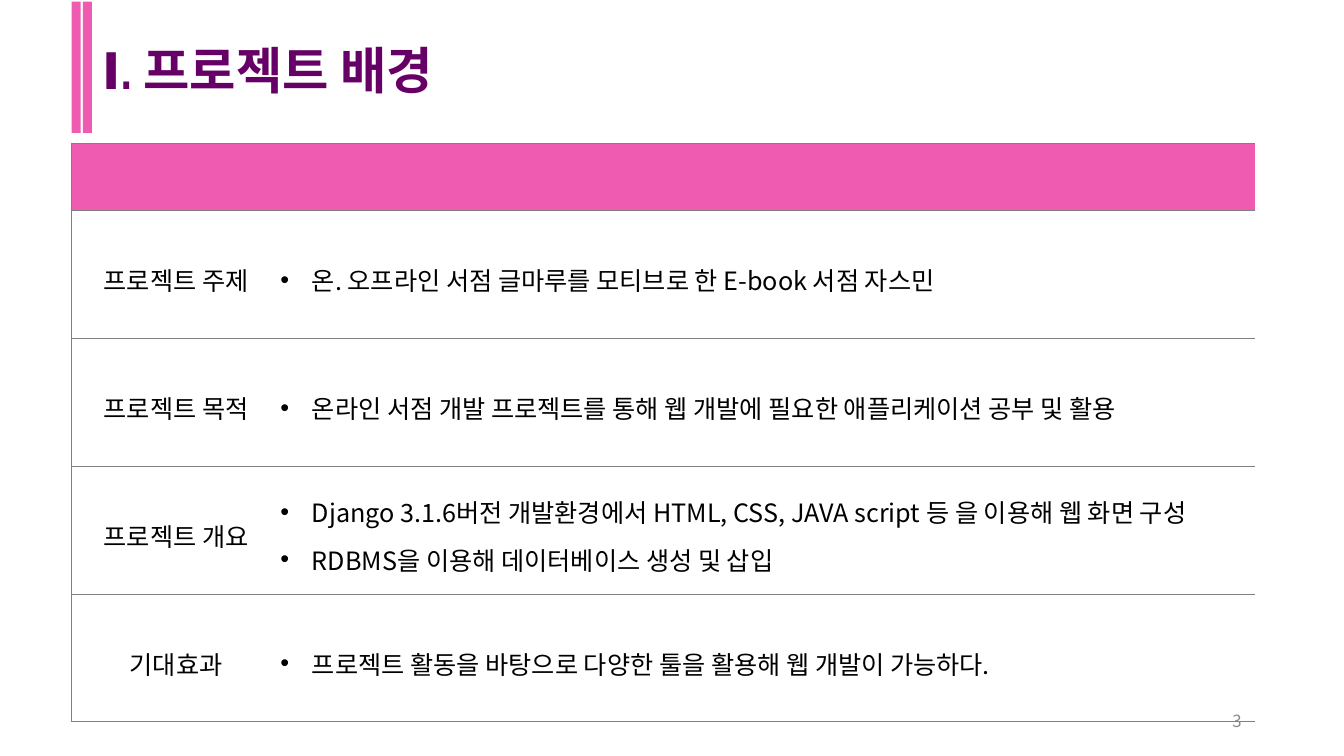
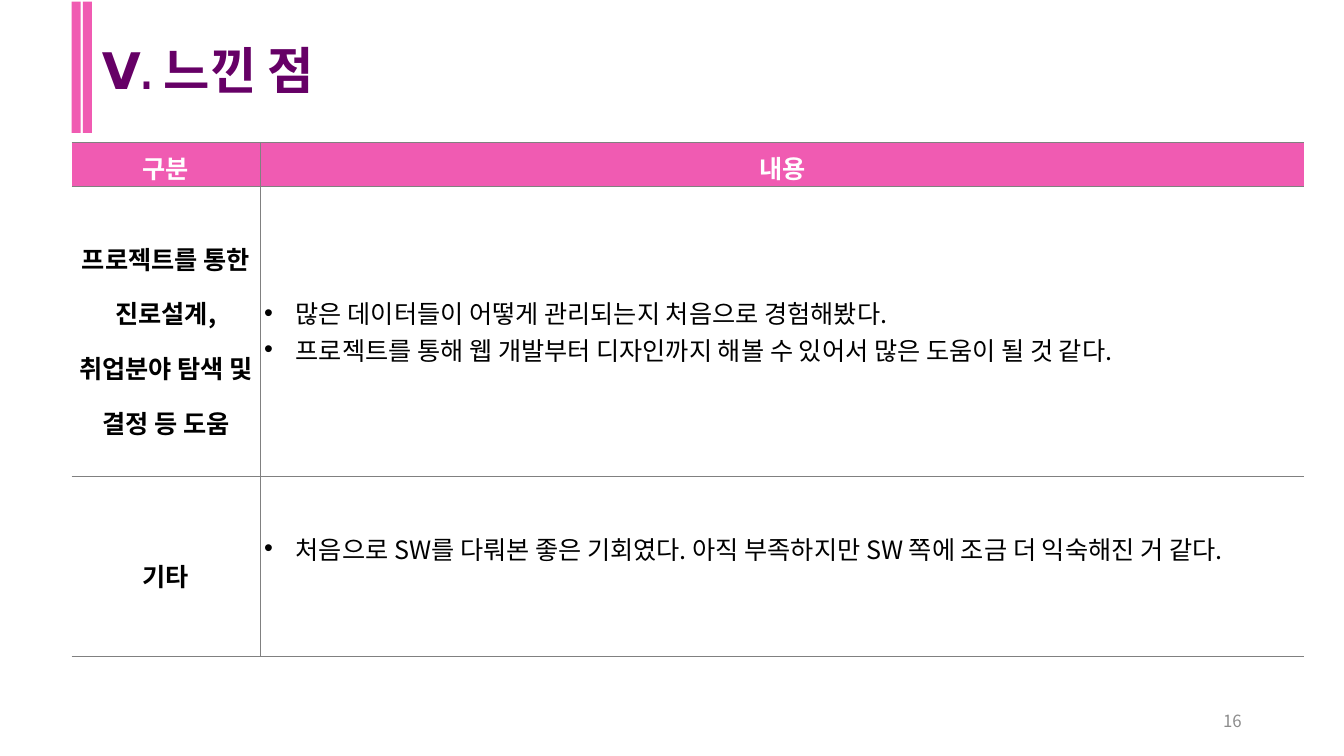
from lxml.etree import SubElement
from pptx import Presentation
from pptx.dml.color import RGBColor
from pptx.enum.shapes import MSO_SHAPE
from pptx.enum.text import MSO_ANCHOR, MSO_AUTO_SIZE, PP_ALIGN
from pptx.oxml import parse_xml
from pptx.oxml.ns import nsdecls, qn
from pptx.util import Pt

PINK, PURPLE, RULE = "F05BB2", "660066", "808080"
BLACK, WHITE, GRAY = "000000", "FFFFFF", "8C8C8C"
BODY_FONT, TITLE_FONT = "Noto Sans CJK KR", "Arial Narrow"
LEFT = 51.2
BULLET_INDENT = 22.5


def color(hex_code):
    return RGBColor.from_string(hex_code)


def write(frame, lines, paragraph_format, font_format, ink, bullet=False):
    for number, line in enumerate(lines):
        paragraph = frame.paragraphs[0] if number == 0 else frame.add_paragraph()
        for key, value in paragraph_format.items():
            setattr(paragraph, key, value)
        if bullet:
            properties = paragraph._p.get_or_add_pPr()
            properties.set("marL", str(Pt(BULLET_INDENT)))
            properties.set("indent", str(-Pt(BULLET_INDENT)))
            SubElement(properties, qn("a:buFont"), typeface="Arial")
            SubElement(properties, qn("a:buChar"), char="•")
        run = paragraph.add_run()
        run.text = line
        for key, value in font_format.items():
            setattr(run.font, key, value)
        run.font.color.rgb = color(ink)
        SubElement(run._r.get_or_add_rPr(), qn("a:ea"), typeface=BODY_FONT)


# Text formats
TITLE_TEXT = {"name": TITLE_FONT, "size": Pt(36), "bold": True}
BODY_TEXT = {"name": BODY_FONT, "size": Pt(18), "bold": False}
STRONG_TEXT = {**BODY_TEXT, "bold": True}
NUMBER_TEXT = {**BODY_TEXT, "size": Pt(12)}
TITLE_FRAME = {"word_wrap": True, "auto_size": MSO_AUTO_SIZE.NONE,
               "vertical_anchor": MSO_ANCHOR.TOP}
TITLE_PLACE = {"left": Pt(65.5), "top": Pt(24.5), "width": Pt(535.7), "height": Pt(51.1)}

# Contents: a row is its label lines and its bullet lines
sections = [
    {
        "title": "Ⅰ. 프로젝트 배경", "number": "3", "top": 102.2,
        "widths": [146.2, 699.1], "heights": [48.2] + [91.3] * 4,
        "header": None,
        "rows": [
            (["프로젝트 주제"], ["온. 오프라인 서점 글마루를 모티브로 한 E-book 서점 자스민"]),
            (["프로젝트 목적"],
             ["온라인 서점 개발 프로젝트를 통해 웹 개발에 필요한 애플리케이션 공부 및 활용"]),
            (["프로젝트 개요"],
             ["Django 3.1.6버전 개발환경에서 HTML, CSS, JAVA script 등 을 이용해 웹 화면 구성",
              "RDBMS을 이용해 데이터베이스 생성 및 삽입"]),
            (["기대효과"], ["프로젝트 활동을 바탕으로 다양한 툴을 활용해 웹 개발이 가능하다."]),
        ],
        "label_text": BODY_TEXT, "label_spacing": 1.3, "bullet_spacing": 1.3,
        "label_margin": 2.9, "last_margin": 0,
        "vertical_rules": [{"L"}, set()],
    },
    {
        "title": "Ⅴ. 느낀 점", "number": "16", "top": 101.5,
        "widths": [134.6, 745.9], "heights": [29.5, 207.4, 128.5],
        "header": ["구분", "내용"],
        "rows": [
            (["프로젝트를 통한 진로설계,", "취업분야 탐색 및 결정 등 도움"],
             ["많은 데이터들이 어떻게 관리되는지 처음으로 경험해봤다.",
              "프로젝트를 통해 웹 개발부터 디자인까지 해볼 수 있어서 많은 도움이 될 것 같다."]),
            (["기타"],
             ["처음으로 SW를 다뤄본 좋은 기회였다. 아직 부족하지만 SW 쪽에 조금 더 익숙해진 거 같다."]),
        ],
        "label_text": STRONG_TEXT, "label_spacing": 1.5, "bullet_spacing": 1.0,
        "label_margin": 0, "last_margin": 26,
        "vertical_rules": [{"R"}, {"L"}],
    },
]

deck = Presentation()
deck.slide_width, deck.slide_height = Pt(960), Pt(540)

for section in sections:
    slide = deck.slides.add_slide(deck.slide_layouts[5])

    # Title with its double bar
    title = slide.shapes.title
    for key, value in TITLE_PLACE.items():
        setattr(title, key, value)
    for key, value in TITLE_FRAME.items():
        setattr(title.text_frame, key, value)
    write(title.text_frame, [section["title"]], {"alignment": PP_ALIGN.LEFT},
          TITLE_TEXT, PURPLE)
    for bar_left in (LEFT, LEFT + 8):
        bar = slide.shapes.add_shape(MSO_SHAPE.RECTANGLE, Pt(bar_left), Pt(1.2),
                                     Pt(6.5), Pt(93.8))
        bar.shadow.inherit = False
        bar.fill.solid()
        bar.fill.fore_color.rgb = color(PINK)
        bar.line.fill.background()

    # Table grid
    widths, heights = section["widths"], section["heights"]
    grid = slide.shapes.add_table(len(heights), len(widths), Pt(LEFT), Pt(section["top"]),
                                  Pt(sum(widths)), Pt(sum(heights))).table
    grid.first_row = grid.horz_banding = False
    for column, width in zip(grid.columns, widths):
        column.width = Pt(width)
    for row, height in zip(grid.rows, heights):
        row.height = Pt(height)

    # Cell fills, margins and rules
    for row_index, row in enumerate(grid.rows):
        for column_index, cell in enumerate(row.cells):
            cell.vertical_anchor = MSO_ANCHOR.MIDDLE
            cell.margin_left = cell.margin_right = cell.margin_top = cell.margin_bottom = 0
            if row_index == 0:
                cell.fill.solid()
                cell.fill.fore_color.rgb = color(PINK)
            else:
                cell.fill.background()
                cell.margin_left = Pt(2.9 if column_index else section["label_margin"])
            drawn = section["vertical_rules"][column_index] | {"T", "B"}
            properties = cell._tc.get_or_add_tcPr()
            for position, side in enumerate("LRTB"):
                paint = (f'<a:solidFill><a:srgbClr val="{RULE}"/></a:solidFill>'
                         if side in drawn else "<a:noFill/>")
                properties.insert(position, parse_xml(
                    f'<a:ln{side} {nsdecls("a")} w="{Pt(0.5)}">{paint}</a:ln{side}>'))

    # Header row
    if section["header"]:
        for column_index, heading in enumerate(section["header"]):
            write(grid.cell(0, column_index).text_frame, [heading],
                  {"alignment": PP_ALIGN.CENTER, "line_spacing": 1.2}, STRONG_TEXT, WHITE)
    else:
        grid.cell(0, 0).merge(grid.cell(0, 1))

    # Labels and bullets
    for row_index, (label, bullets) in enumerate(section["rows"], start=1):
        write(grid.cell(row_index, 0).text_frame, label,
              {"alignment": PP_ALIGN.CENTER, "line_spacing": section["label_spacing"]},
              section["label_text"], BLACK)
        write(grid.cell(row_index, 1).text_frame, bullets,
              {"alignment": PP_ALIGN.LEFT, "line_spacing": section["bullet_spacing"]},
              BODY_TEXT, BLACK, bullet=True)
    grid.cell(len(section["rows"]), 1).margin_bottom = Pt(section["last_margin"])

    # Page number
    page_number = slide.shapes.add_textbox(Pt(678), Pt(500.5), Pt(216), Pt(28.8)).text_frame
    page_number.word_wrap = True
    page_number.vertical_anchor = MSO_ANCHOR.MIDDLE
    write(page_number, [section["number"]], {"alignment": PP_ALIGN.RIGHT}, NUMBER_TEXT, GRAY)

deck.save("out.pptx")
